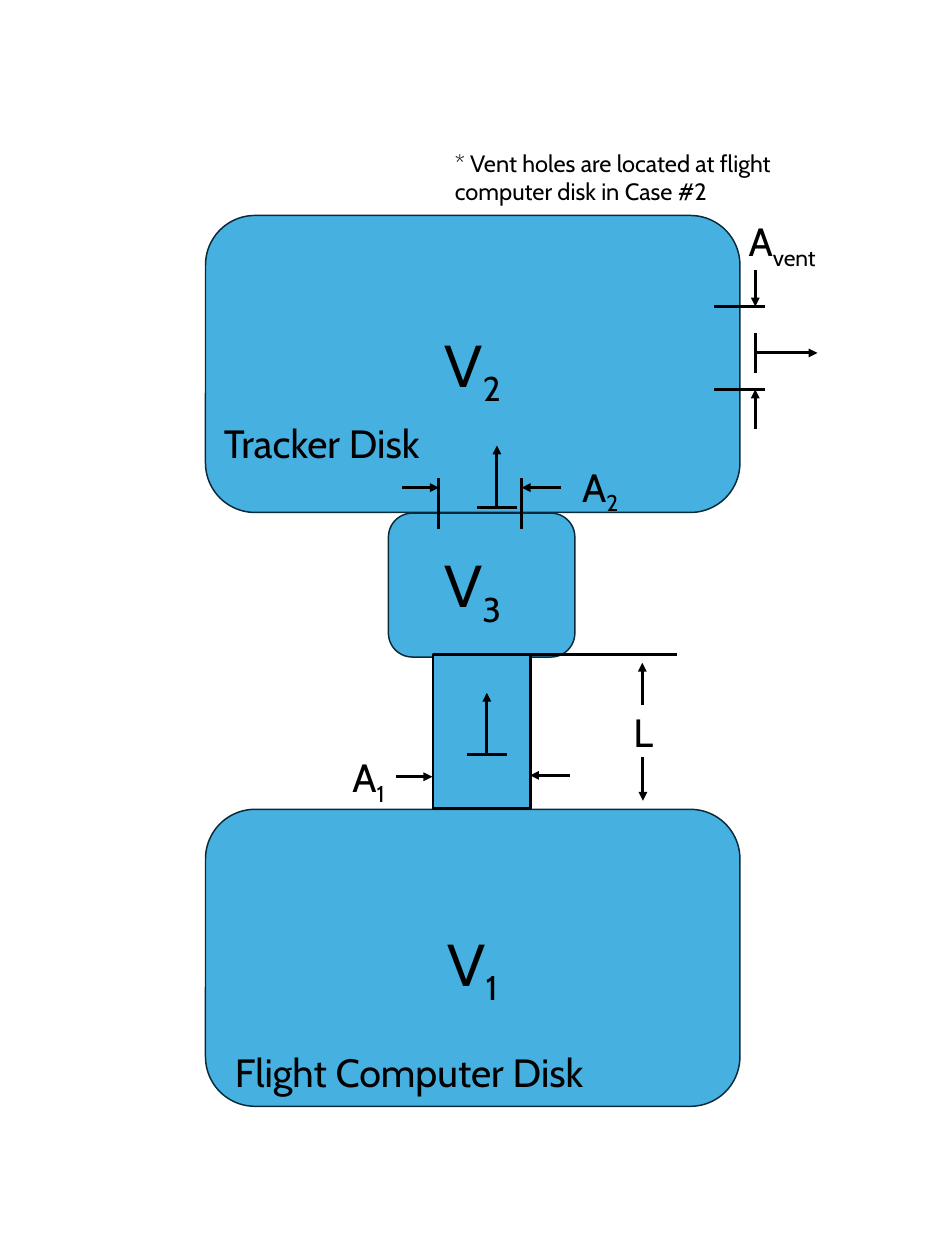
from pptx import Presentation
from pptx.dml.color import RGBColor
from pptx.enum.shapes import MSO_CONNECTOR, MSO_SHAPE
from pptx.enum.text import MSO_AUTO_SIZE, PP_ALIGN
from pptx.oxml.ns import qn
from pptx.util import Pt
from lxml.etree import SubElement

COLORS = {"volume": "46B1E1", "edge": "092A39", "ink": "000000"}
FONT = "Cabin"
STROKE = 3


def color(name):
    return RGBColor.from_string(COLORS[name])


def add_text(page, box, text, subscript="", size=40, align=PP_ALIGN.CENTER):
    frame = page.shapes.add_textbox(*map(Pt, box)).text_frame
    frame.word_wrap = True
    frame.auto_size = MSO_AUTO_SIZE.SHAPE_TO_FIT_TEXT
    para = frame.paragraphs[0]
    para.alignment = align
    for part, baseline in ((text, 0), (subscript, -25000)):
        if not part:
            continue
        span = para.add_run()
        span.text = part
        span.font.name = FONT
        span.font.size = Pt(size)
        span.font.color.rgb = color("ink")
        if baseline:
            span.font._element.set("baseline", str(baseline))


def add_line(page, start, end, arrow=False):
    line = page.shapes.add_connector(MSO_CONNECTOR.STRAIGHT, *map(Pt, (*start, *end)))
    line.line.color.rgb = color("ink")
    line.line.width = Pt(STROKE)
    if arrow:
        SubElement(line.line._get_or_add_ln(), qn("a:tailEnd"), type="triangle")
    SubElement(line._element.spPr, qn("a:effectLst"))


def add_volume(page, box, kind=MSO_SHAPE.ROUNDED_RECTANGLE, edge="edge", width=1.5):
    shape = page.shapes.add_shape(kind, *map(Pt, box))
    shape.shadow.inherit = False
    shape.fill.solid()
    shape.fill.fore_color.rgb = color("volume")
    shape.line.color.rgb = color(edge)
    shape.line.width = Pt(width)


def draw_chamber(page, box, number, drop, name="", name_box=None):
    left, top, width, height = box
    add_volume(page, box)
    add_text(page, (411.1, top + drop, 138.2, 80), "V", number, size=60)
    if name:
        shift, name_drop, name_width = name_box
        add_text(page, (left + shift, top + name_drop, name_width, 55.4), name)


def draw_neck(page, box):
    left, top, width, height = box
    right, bottom = left + width, top + height
    add_volume(page, box, kind=MSO_SHAPE.RECTANGLE, edge="ink", width=STROKE)
    add_line(page, (right - 24.5, top), (right + 149, top))
    length_x = right + 114.7
    add_line(page, (length_x, bottom - 52.7), (length_x, bottom - 8), arrow=True)
    add_line(page, (length_x - 0.7, top + 51), (length_x - 0.7, top + 8), arrow=True)
    add_text(page, (length_x - 33.5, top + 51, 67.7, 55.4), "L")
    add_line(page, (right + 40.3, top + 122.4), (right, top + 122.4), arrow=True)
    add_line(page, (left - 37.4, top + 123.8), (left - 0.7, top + 123.8), arrow=True)
    add_text(page, (left - 99.3, top + 96.5, 67.7, 55.4), "A", "1")
    draw_flow(page, (left + 54.7, top + 101.5), upward=True)


def draw_opening(page, box, sideways=False):
    left, top, width, height = box
    gap, depth = (height, width) if sideways else (width, height)

    def place(along, across):
        if sideways:
            return left + width - across, top + along
        return left + along, top + across

    for wall, tail in ((0, -37), (gap, gap + 40.3)):
        add_line(page, place(wall, 0), place(wall, depth))
        add_line(page, place(tail, 9.4), place(wall, 9.4), arrow=True)


def draw_flow(page, base, upward):
    x, y = base
    half, length = 20, 63
    if upward:
        add_line(page, base, (x, y - length), arrow=True)
        add_line(page, (x - half, y), (x + half, y))
    else:
        add_line(page, base, (x + length, y), arrow=True)
        add_line(page, (x, y - half), (x, y + half))


def draw_tracker_openings(page, box):
    left, top, width, height = box
    right, bottom = left + width, top + height
    draw_opening(page, (left + 237, bottom - 34.6, 84.2, 51))
    draw_flow(page, (left + 296, bottom - 5), upward=True)
    add_text(page, (left + 367.2, bottom - 54, 67.7, 55.4), "A", "2")
    draw_opening(page, (right - 26, top + 92.5, 51, 84.2), sideways=True)
    draw_flow(page, (right + 15.8, top + 139.7), upward=False)
    add_text(page, (right - 3.6, top - 1.4, 92.9, 55.4), "A", "vent")
    add_text(page, (left + 246.2, top - 71.3, 346.3, 65.5),
             "* Vent holes are located at flight computer disk in Case #2",
             size=24, align=PP_ALIGN.LEFT)


def main():
    deck = Presentation()
    deck.slide_width, deck.slide_height = Pt(960), Pt(1280)
    page = deck.slides.add_slide(deck.slide_layouts[6])
    tracker = (208.8, 218.9, 542.9, 301.7)
    computer = (208.8, 822.2, 542.9, 301.7)
    draw_chamber(page, tracker, "2", 110.9, "Tracker Disk", (-34.6, 203.7, 305.3))
    draw_chamber(page, computer, "1", 116, "Flight Computer Disk", (-1.4, 239, 416.2))
    draw_chamber(page, (394.6, 521.3, 189.4, 146.2), "3", 32.4)
    draw_neck(page, (439.9, 665.3, 98.6, 156.2))
    draw_tracker_openings(page, tracker)
    deck.save("out.pptx")


if __name__ == "__main__":
    main()
